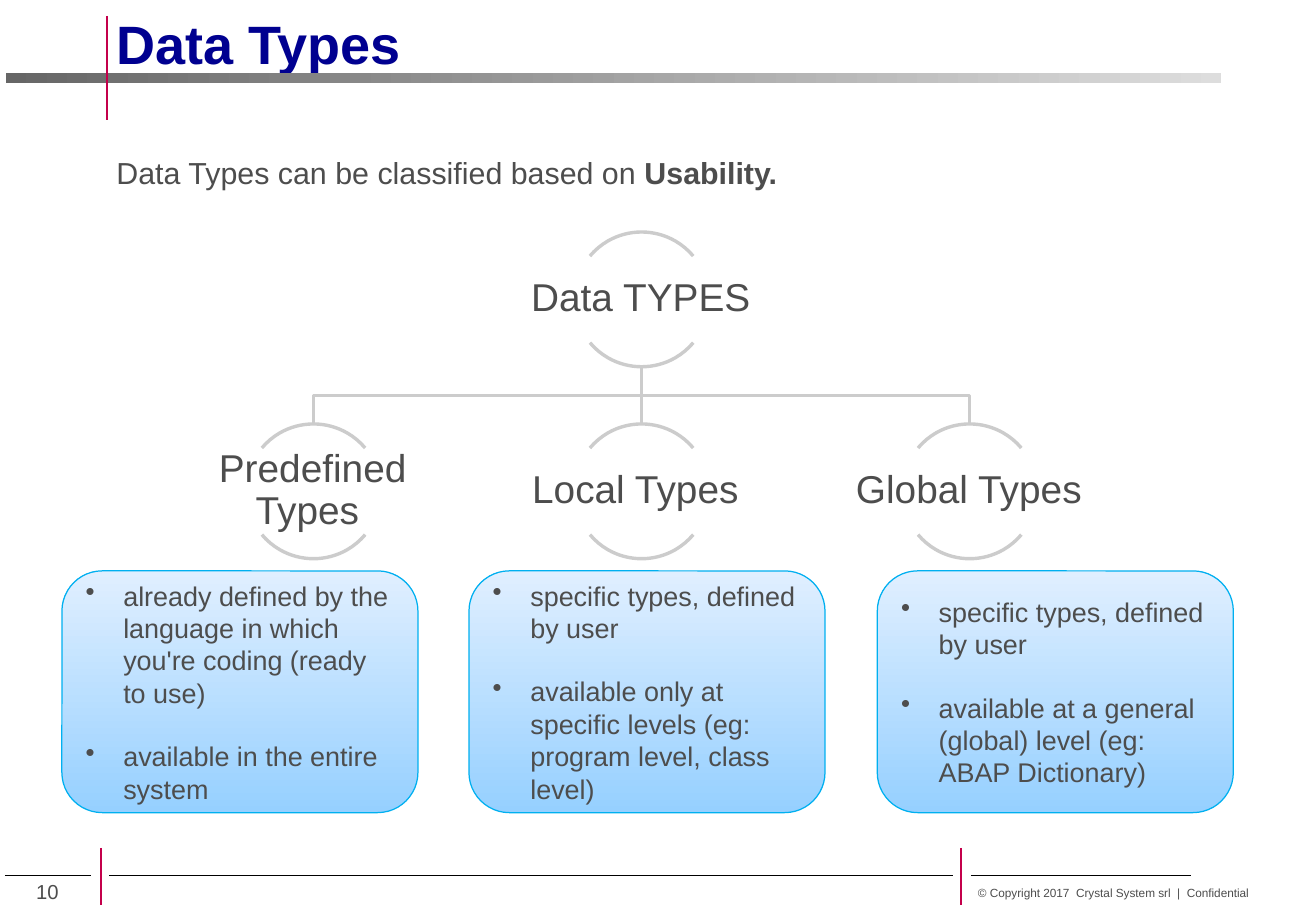
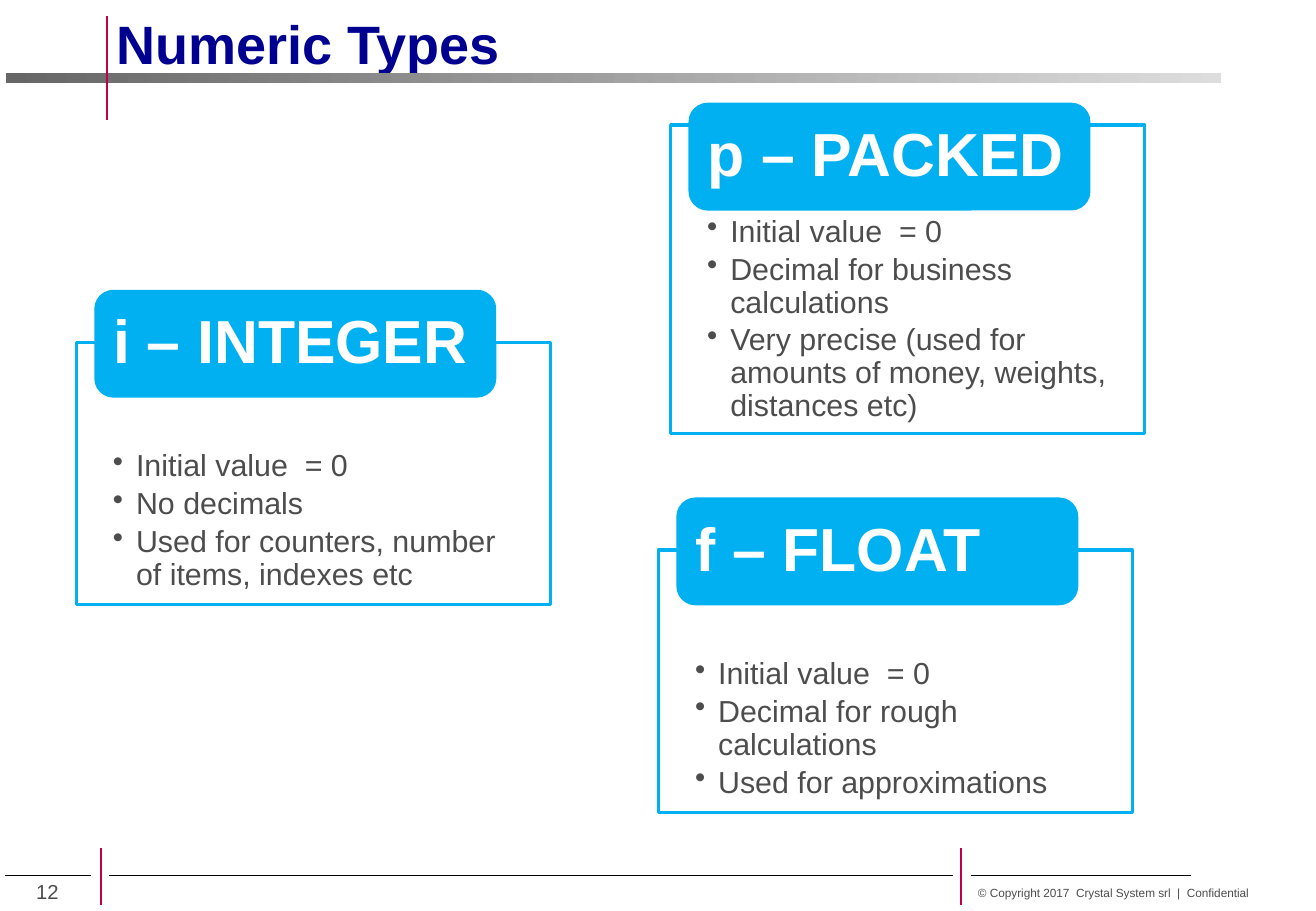
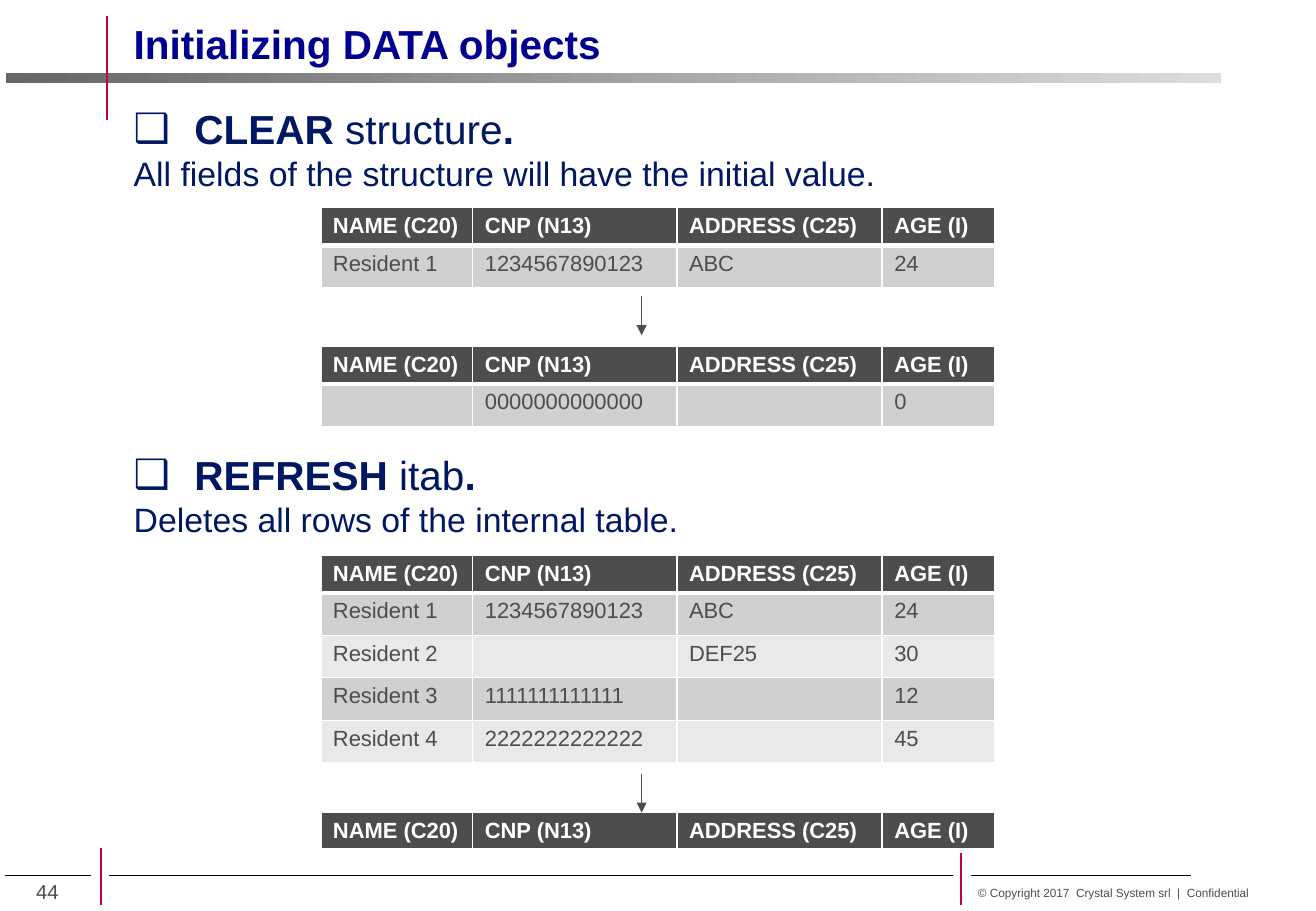
from lxml.etree import SubElement
from pptx import Presentation
from pptx.dml.color import RGBColor
from pptx.enum.shapes import MSO_CONNECTOR, MSO_SHAPE
from pptx.enum.text import MSO_ANCHOR, MSO_AUTO_SIZE, PP_ALIGN
from pptx.oxml.ns import qn
from pptx.util import Inches, Pt

COLORS = {
    "title": "000090", "text": "4D4D4D", "navy": "001864", "accent": "C4004B",
    "rule": "000000", "white": "FFFFFF", "tree": "CCCCCC", "cyan": "00B0F0",
    "band_dark": "666666", "band_light": "DDDDDD",
    "card_bottom": "96D0FF", "card_top": "E0EFFF",
    "row_odd": "D0D0D0", "row_even": "E9E9E9",
}
FONT = "Arial"
TITLE_ONLY, TITLE_AND_BODY = 5, 1
COPYRIGHT = "© Copyright 2017  Crystal System srl  |  Confidential"
FOOTER_RULES = [(0.04, 0.75), (0.9, 7.84), (7.99, 9.8)]
FOOTER_TICKS = [0.83, 7.91]

NODE = 1.11
ARCS = [(132, 192), (24, 84)]
COLUMN_WIDTHS = [1.25, 1.68, 1.69, 0.93]
HEADINGS = ["NAME (C20)", "CNP (N13)", "ADDRESS (C25)", "AGE (I)"]
TABLE_LEFT = 2.64
HEADER_HEIGHT, ROW_HEIGHT = 0.31, 0.35


def color(name):
    return RGBColor.from_string(COLORS[name])


def inches(*lengths):
    return [Inches(length) for length in lengths]


def format_runs(paragraph, size, shade="text", bold=False):
    for run in paragraph.runs:
        run.font.name = FONT
        run.font.size = Pt(size)
        run.font.bold = bold
        run.font.color.rgb = color(shade)


def add_pieces(paragraph, pieces, size, shade="text"):
    for text, _ in pieces:
        paragraph.add_run().text = text
    format_runs(paragraph, size, shade)
    for run, (_, bold) in zip(paragraph.runs, pieces):
        run.font.bold = bold


def set_bullet(paragraph, symbol=None, indent=0):
    properties = paragraph._p.get_or_add_pPr()
    properties.set("marL", str(Inches(indent)))
    properties.set("indent", str(-Inches(indent)))
    if symbol:
        SubElement(properties, qn("a:buChar"), char=symbol)
    else:
        SubElement(properties, qn("a:buNone"))


def set_frame(frame, margins=(0.1, 0.05, 0.1, 0.05), anchor=MSO_ANCHOR.TOP):
    frame.word_wrap = True
    frame.auto_size = MSO_AUTO_SIZE.NONE
    frame.vertical_anchor = anchor
    (frame.margin_left, frame.margin_top,
     frame.margin_right, frame.margin_bottom) = inches(*margins)


def add_label(slide, box, text, size, **frame_options):
    frame = slide.shapes.add_textbox(*inches(*box)).text_frame
    set_frame(frame, **frame_options)
    frame.text = text
    format_runs(frame.paragraphs[0], size)
    return frame.paragraphs[0]


def add_line(slide, start, end, shade, width, arrow=False):
    line = slide.shapes.add_connector(
        MSO_CONNECTOR.STRAIGHT, *inches(*start, *end))
    line.line.color.rgb = color(shade)
    line.line.width = Pt(width)
    properties = line._element.spPr
    if arrow:
        SubElement(properties.find(qn("a:ln")), qn("a:tailEnd"), type="triangle")
    SubElement(properties, qn("a:effectLst"))


def style_outline(shape, shade, width):
    shape.shadow.inherit = False
    shape.line.color.rgb = color(shade)
    shape.line.width = Pt(width)


def fill_gradient(shape, first, last, angle):
    shape.fill.gradient()
    shape.fill.gradient_angle = angle
    for stop, shade in zip(shape.fill.gradient_stops, (first, last)):
        stop.color.rgb = color(shade)


def write_bullets(frame, items, size, indent, gap_before=0, gap_after=0, spacing=1.0):
    frame.text = "\n".join(items)
    for position, paragraph in enumerate(frame.paragraphs):
        set_bullet(paragraph, "•", indent)
        paragraph.alignment = PP_ALIGN.LEFT
        paragraph.line_spacing = spacing
        paragraph.space_after = Pt(gap_after)
        if position:
            paragraph.space_before = Pt(gap_before)
        format_runs(paragraph, size)


def add_footer(slide, number):
    for left, right in FOOTER_RULES:
        add_line(slide, (left, 7.21), (right, 7.21), "rule", 0.75)
    for x in FOOTER_TICKS:
        add_line(slide, (x, 6.98), (x, 7.45), "accent", 1.5)
    add_label(slide, (7.95, 7.24, 2.6, 0.22), COPYRIGHT, 7)
    add_label(slide, (0.2, 7.19, 0.5, 0.3), str(number), 12)


def start_slide(deck, layout, title, number, left=0.86, top=0, size=32):
    slide = deck.slides.add_slide(deck.slide_layouts[layout])
    heading = slide.shapes.title
    heading.left, heading.top, heading.width, heading.height = inches(
        left, top, 9.83, 0.55)
    set_frame(heading.text_frame, margins=(0.1, 0.09, 0.1, 0))
    heading.text_frame.text = title
    heading.text_frame.paragraphs[0].alignment = PP_ALIGN.LEFT
    format_runs(heading.text_frame.paragraphs[0], size, "title", True)
    band = slide.shapes.add_shape(MSO_SHAPE.RECTANGLE, *inches(0.05, 0.6, 10, 0.08))
    band.shadow.inherit = False
    band.line.fill.background()
    fill_gradient(band, "band_dark", "band_light", 0)
    add_line(slide, (0.88, 0.13), (0.88, 0.99), "accent", 1.5)
    add_footer(slide, number)
    return slide


def add_node(slide, center, top, text):
    left = center - NODE / 2
    for start, end in ARCS:
        arc = slide.shapes.add_shape(MSO_SHAPE.ARC, *inches(left, top, NODE, NODE))
        arc.adjustments[0], arc.adjustments[1] = start, end
        arc.fill.background()
        style_outline(arc, "tree", 2)
    label = add_label(slide, (center - 1.12, top + 0.2, 2.23, 0.71), text, 23,
                      margins=(0.02,) * 4, anchor=MSO_ANCHOR.MIDDLE)
    label.alignment = PP_ALIGN.CENTER
    label.line_spacing = 0.9


def add_branch(slide, start, end):
    (x, top), (child_x, bottom) = start, end
    if x == child_x:
        add_line(slide, start, end, "tree", 2)
        return
    middle = (top + bottom) / 2
    outline = slide.shapes.build_freeform(*inches(x, top))
    outline.add_line_segments(
        [inches(*point) for point in [(x, middle), (child_x, middle), end]],
        close=False)
    branch = outline.convert_to_shape()
    branch.fill.background()
    style_outline(branch, "tree", 2)


def add_description(slide, left, top, items):
    card = slide.shapes.add_shape(
        MSO_SHAPE.ROUNDED_RECTANGLE, *inches(left, top, 2.93, 1.99))
    style_outline(card, "cyan", 0.75)
    fill_gradient(card, "card_bottom", "card_top", 90)
    set_frame(card.text_frame, anchor=MSO_ANCHOR.MIDDLE)
    write_bullets(card.text_frame, items, 16, 0.31, gap_before=18.4)


def build_data_types(deck):
    slide = start_slide(deck, TITLE_ONLY, "Data Types", 10)
    intro = add_label(slide, (0.86, 1.22, 8.99, 0.4), "", 18)
    add_pieces(intro, [("Data Types can be classified based on ", False),
                       ("Usability.", True)], 18)
    root_x, root_top, child_top, step = 5.28, 1.91, 3.49, 2.7
    categories = [
        ("Predefined Types ", 0.51,
         ["already defined by the language in which you're coding (ready to use)",
          "available in the entire system"]),
        ("Local Types ", 3.86,
         ["specific types, defined by user",
          "available only at specific levels (eg: program level, class level)"]),
        ("Global Types", 7.22,
         ["specific types, defined by user",
          "available at a general (global) level (eg: ABAP Dictionary)"]),
    ]
    add_node(slide, root_x, root_top, "Data TYPES")
    for position, (name, card_left, items) in enumerate(categories):
        x = root_x + (position - 1) * step
        add_branch(slide, (root_x, root_top + NODE), (x, child_top))
        add_node(slide, x, child_top, name)
        add_description(slide, card_left, 4.7, items)


def add_numeric_type(slide, left, top, height, tab_rise, text_top, name, items):
    frame = slide.shapes.add_shape(
        MSO_SHAPE.RECTANGLE, *inches(left, top, 3.9, height))
    frame.fill.solid()
    frame.fill.fore_color.rgb = color("white")
    style_outline(frame, "cyan", 2)
    set_frame(frame.text_frame, margins=(0.3, text_top, 0.3, 0.14))
    write_bullets(frame.text_frame, items, 18, 0.19, gap_after=3, spacing=0.9)
    tab = slide.shapes.add_shape(
        MSO_SHAPE.ROUNDED_RECTANGLE, *inches(left + 0.16, top - tab_rise, 3.28, 0.86))
    tab.fill.solid()
    tab.fill.fore_color.rgb = color("cyan")
    style_outline(tab, "cyan", 2)
    set_frame(tab.text_frame, margins=(0.1, 0, 0.1, 0), anchor=MSO_ANCHOR.MIDDLE)
    tab.text_frame.text = name
    heading = tab.text_frame.paragraphs[0]
    heading.alignment = PP_ALIGN.LEFT
    heading.line_spacing = 0.9
    format_runs(heading, 36, "white", True)


def build_numeric_types(deck):
    slide = start_slide(deck, TITLE_ONLY, "Numeric Types", 12)
    initial = "Initial value  = 0"
    add_numeric_type(slide, 0.63, 2.82, 2.16, 0.42, 0.89, "i – INTEGER",
                     [initial, "No decimals",
                      "Used for counters, number of items, indexes etc"])
    add_numeric_type(slide, 5.52, 1.03, 2.54, 0.17, 0.75, "p – PACKED",
                     [initial, "Decimal for business calculations",
                      "Very precise (used for amounts of money, weights, distances etc)"])
    add_numeric_type(slide, 5.42, 4.53, 2.16, 0.42, 0.89, "f – FLOAT",
                     [initial, "Decimal for rough calculations",
                      "Used for approximations"])


def set_borders(cell, bottom_width):
    properties = cell._tc.get_or_add_tcPr()
    widths = {"a:lnL": 1, "a:lnR": 1, "a:lnT": 1, "a:lnB": bottom_width}
    for position, (side, width) in enumerate(widths.items()):
        border = SubElement(properties, qn(side), w=str(Pt(width)))
        SubElement(SubElement(border, qn("a:solidFill")), qn("a:srgbClr"),
                   val=COLORS["white"])
        properties.insert(position, border)


def fill_cell(cell, text, background, shade, bold, bottom_width):
    cell.fill.solid()
    cell.fill.fore_color.rgb = color(background)
    set_borders(cell, bottom_width)
    paragraph = cell.text_frame.paragraphs[0]
    if text:
        paragraph.text = text
        format_runs(paragraph, 13, shade, bold)
    else:
        SubElement(paragraph._p, qn("a:endParaRPr"), sz="1300")


def add_records(slide, top, records):
    height = HEADER_HEIGHT + ROW_HEIGHT * len(records)
    table = slide.shapes.add_table(
        len(records) + 1, len(HEADINGS),
        *inches(TABLE_LEFT, top, sum(COLUMN_WIDTHS), height)).table
    for column, width in zip(table.columns, COLUMN_WIDTHS):
        column.width = Inches(width)
    for index, values in enumerate([HEADINGS] + records):
        table.rows[index].height = Inches(ROW_HEIGHT if index else HEADER_HEIGHT)
        if index:
            style = ("row_odd" if index % 2 else "row_even", "text", False, 1)
        else:
            style = ("text", "white", True, 3)
        for column, value in enumerate(values):
            fill_cell(table.cell(index, column), value, *style)


def write_statements(body, statements, gap):
    body.left, body.top, body.width, body.height = inches(1, 0.81, 9.55, 3.75)
    frame = body.text_frame
    set_frame(frame)
    for position, (keyword, operand, effect) in enumerate(statements):
        statement = frame.add_paragraph() if position else frame.paragraphs[0]
        set_bullet(statement, "❑", 0.5)
        statement.space_before = Pt(gap if position else 0)
        add_pieces(statement, [(keyword + " ", True), (operand, False), (".", True)],
                   24, "navy")
        explanation = frame.add_paragraph()
        set_bullet(explanation)
        explanation.space_before = Pt(0)
        explanation.text = effect
        format_runs(explanation, 20, "navy")


def build_initializing(deck):
    slide = start_slide(deck, TITLE_AND_BODY, "Initializing DATA objects", 44,
                        left=1, top=0.07, size=24)
    write_statements(slide.placeholders[1], [
        ("CLEAR", "structure", "All fields of the structure will have the initial value."),
        ("REFRESH", "itab", "Deletes all rows of the internal table."),
    ], gap=152)
    resident = ["Resident 1", "1234567890123", "ABC", "24"]
    add_records(slide, 1.71, [resident])
    add_records(slide, 2.85, [["", "0000000000000", "", "0"]])
    add_records(slide, 4.57, [
        resident,
        ["Resident 2", "", "DEF25", "30"],
        ["Resident 3", "1111111111111", "", "12"],
        ["Resident 4", "2222222222222", "", "45"],
    ])
    add_records(slide, 6.69, [])
    for top in (2.44, 6.37):
        add_line(slide, (5.28, top), (5.28, top + 0.32), "text", 0.75, arrow=True)


def main():
    deck = Presentation()
    deck.slide_width, deck.slide_height = inches(10.83, 7.5)
    build_data_types(deck)
    build_numeric_types(deck)
    build_initializing(deck)
    deck.save("out.pptx")


if __name__ == "__main__":
    main()
